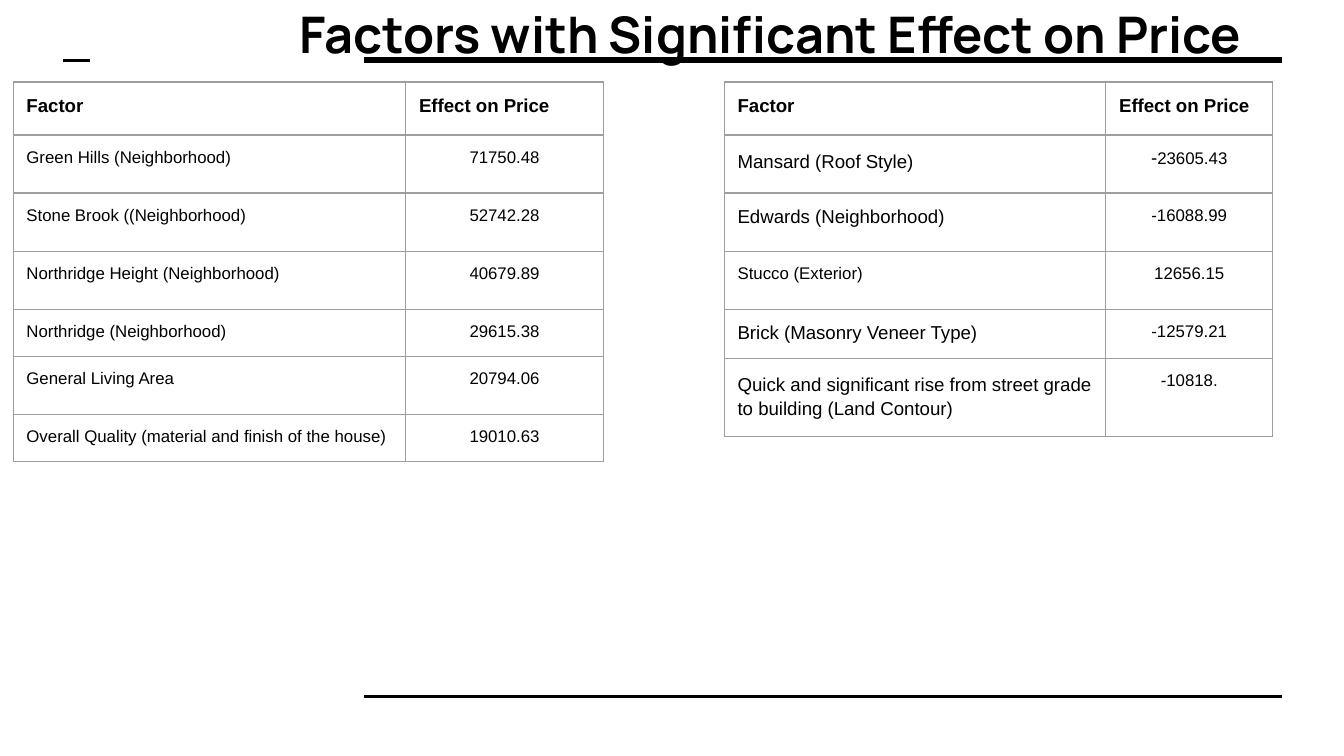
import pptx
import pptx.util
import pptx.dml.color
import pptx.enum.shapes
import pptx.enum.text
import lxml.etree

Cm, Pt = pptx.util.Cm, pptx.util.Pt
Align = pptx.enum.text.PP_ALIGN
BLACK = pptx.dml.color.RGBColor(0x00, 0x00, 0x00)
GREY = pptx.dml.color.RGBColor(0x9E, 0x9E, 0x9E)

TITLE = "Factors with Significant Effect on Price"
HEAD = ("Factor", "Effect on Price")
GAINS = [
    ("Green Hills (Neighborhood)", 9, 1, [("71750.48", 9)]),
    ("Stone Brook ((Neighborhood)", 9, 1, [("52742.28", 9)]),
    ("Northridge Height (Neighborhood)", 9, 1, [("40679.89", 9)]),
    ("Northridge (Neighborhood)", 9, 1, [("29615.38", 9)]),
    ("General Living Area", 9, 1, [("20794.06", 9)]),
    ("Overall Quality (material and finish of the house)", 9, 1, [("19010.63", 9)]),
]
MIXED = [
    ("Mansard (Roof Style)", 10, 1.15, [("-", 10), ("23605.43", 9)]),
    ("Edwards (Neighborhood)", 10, 1, [("-16088.99", 9)]),
    ("Stucco (Exterior)", 9, 1, [("12656.15", 9)]),
    ("Brick (Masonry Veneer Type)", 10, 1, [("-12579.21", 9)]),
    ("Quick and significant rise from street grade to building (Land Contour)",
     10, 1.15, [("-10818.", 9)]),
]
TABLES = [
    (0.25, (7.42, 3.73), (1, 1.1, 1.1, 1.1, 0.86, 1.1, 0.86), GAINS),
    (13.69, (7.21, 3.15), (1, 1.1, 1.1, 1.1, 0.89, 1.42), MIXED),
]
TOP = 1.55
RULES = [(6.88, 24.23, 1.14, 3), (6.88, 24.23, 13.16, 1.5), (1.19, 1.7, 1.14, 1.5)]
INSET = Cm(0.25)
FRAME = {"margin_left": INSET, "margin_right": INSET,
         "margin_top": INSET, "margin_bottom": INSET}


def style(item, form):
    for key, val in form.items():
        setattr(item, key, val)


def write(para, runs, font, bold):
    for text, size in runs:
        run = para.add_run()
        run.text = text
        style(run.font, {"name": font, "size": Pt(size), "bold": bold})
        run.font.color.rgb = BLACK


def edge(cell):
    props = cell._tc.get_or_add_tcPr()
    for spot, side in enumerate(("lnL", "lnR", "lnT", "lnB")):
        line = lxml.etree.Element(pptx.oxml.ns.qn("a:" + side), w=str(Pt(0.75)))
        fill = lxml.etree.SubElement(line, pptx.oxml.ns.qn("a:solidFill"))
        lxml.etree.SubElement(fill, pptx.oxml.ns.qn("a:srgbClr"), val=str(GREY))
        props.insert(spot, line)


def put(cell, runs, bold=False, **form):
    style(cell, FRAME)
    cell.fill.background()
    edge(cell)
    para = cell.text_frame.paragraphs[0]
    style(para, form)
    write(para, runs, "Arial", bold)


def grid(slide, left, cols, rows, facts):
    shape = slide.shapes.add_table(len(rows), len(cols), Cm(left), Cm(TOP),
                                   Cm(sum(cols)), Cm(sum(rows)))
    table = shape.table
    style(table, {"first_row": False, "horz_banding": False})
    for col, width in zip(table.columns, cols):
        col.width = Cm(width)
    for row, height in zip(table.rows, rows):
        row.height = Cm(height)
    for col, text in enumerate(HEAD):
        put(table.cell(0, col), [(text, 10)], bold=True)
    for row, (name, size, gap, value) in enumerate(facts, 1):
        put(table.cell(row, 0), [(name, size)], line_spacing=float(gap))
        put(table.cell(row, 1), value, alignment=Align.CENTER)


def rule(slide, left, right, y, width):
    line = slide.shapes.add_connector(pptx.enum.shapes.MSO_CONNECTOR.STRAIGHT,
                                      Cm(left), Cm(y), Cm(right), Cm(y))
    style(line.line, {"width": Pt(width)})
    line.line.color.rgb = BLACK
    lxml.etree.SubElement(line._element.spPr, pptx.oxml.ns.qn("a:effectLst"))


def main():
    deck = pptx.Presentation()
    style(deck, {"slide_width": Cm(25.4), "slide_height": Cm(14.29)})
    slide = deck.slides.add_slide(deck.slide_layouts[6])
    for spec in RULES:
        rule(slide, *spec)
    box = slide.shapes.add_textbox(Cm(5.41), Cm(-0.2), Cm(22.38), Cm(1.75))
    style(box.text_frame, {**FRAME, "word_wrap": True})
    write(box.text_frame.paragraphs[0], [(TITLE, 27)], "Manrope", True)
    for spec in TABLES:
        grid(slide, *spec)
    deck.save("out.pptx")


if __name__ == "__main__":
    main()
